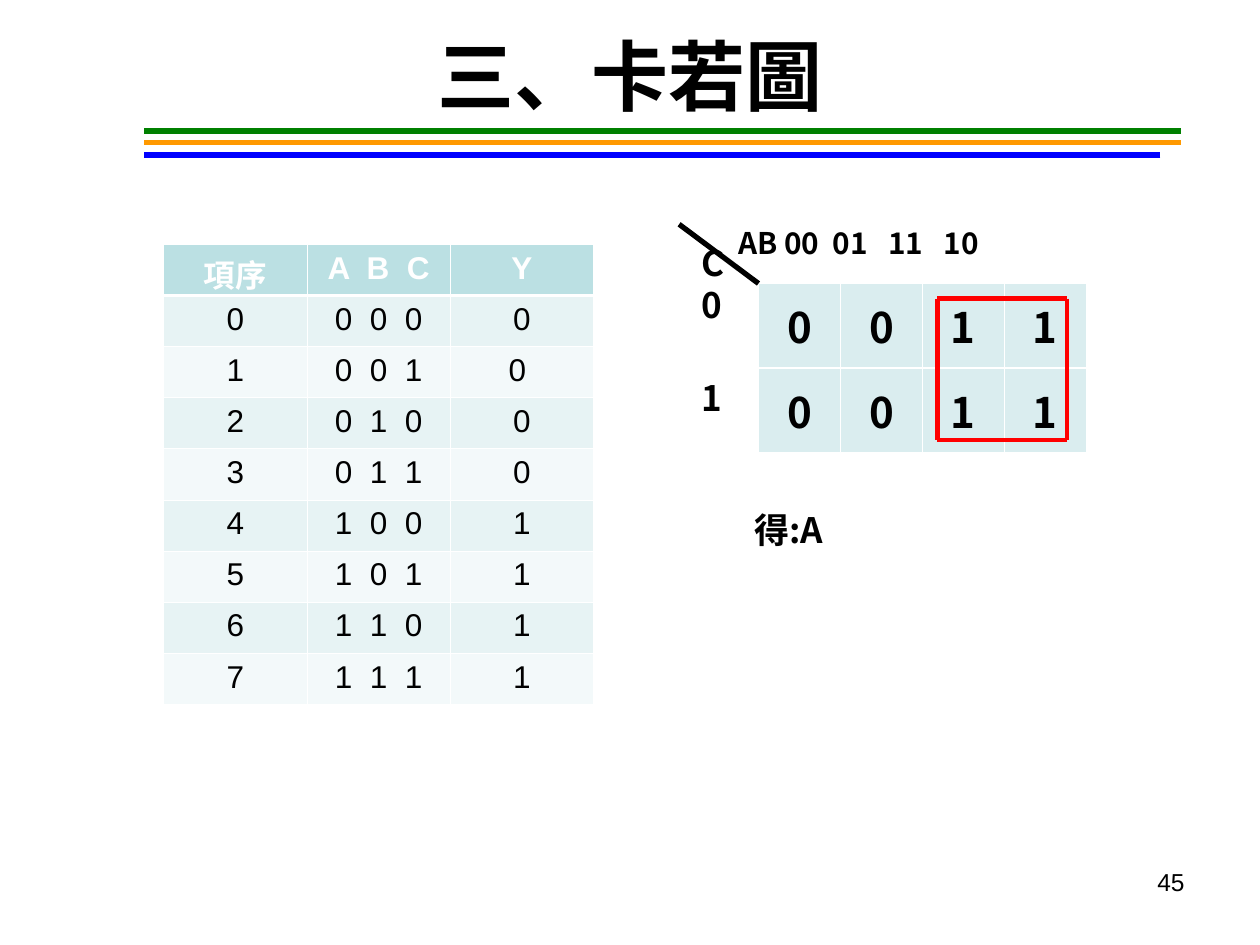
import pptx
import pptx.dml.color
import pptx.enum.shapes
import pptx.enum.text
import pptx.oxml
import pptx.oxml.ns
import pptx.util
from pptx.util import Inches

COLORS = {
    "black": "000000", "white": "FFFFFF", "red": "FF0000",
    "green": "008000", "orange": "FF9900", "blue": "0000FF",
    "header": "BBE0E3", "band": "E7F3F4", "pale": "F3F9FA", "map": "DAEDEF",
}
HAN = "Noto Sans CJK SC"
ALIGN = pptx.enum.text.PP_ALIGN
ANCHOR = pptx.enum.text.MSO_ANCHOR


def rgb(name):
    return pptx.dml.color.RGBColor.from_string(COLORS[name])


def style_paragraph(paragraph, size, face, color="black", bold=False, align=ALIGN.LEFT):
    paragraph.alignment = align
    font = paragraph.font
    font.size = pptx.util.Pt(size)
    font.bold = bold
    font.color.rgb = rgb(color)
    font.name = face
    properties = paragraph._p.pPr.find(pptx.oxml.ns.qn("a:defRPr"))
    east_asian = pptx.oxml.parse_xml(
        f'<a:ea {pptx.oxml.ns.nsdecls("a")} typeface="{HAN}"/>')
    properties.append(east_asian)


def add_text(page, place, lines, size, face=HAN, bold=True, align=ALIGN.LEFT,
             anchor=ANCHOR.TOP, spacing=None, gaps=()):
    box = page.shapes.add_textbox(*map(Inches, place))
    frame = box.text_frame
    frame.word_wrap = True
    frame.vertical_anchor = anchor
    frame.text = "\n".join(lines)
    for paragraph in frame.paragraphs:
        style_paragraph(paragraph, size, face, bold=bold, align=align)
        if spacing:
            paragraph.line_spacing = spacing
    for paragraph, gap in zip(frame.paragraphs[1:], gaps):
        paragraph.space_before = pptx.util.Pt(gap)


def add_line(page, start, end, color, width):
    line = page.shapes.add_connector(
        pptx.enum.shapes.MSO_CONNECTOR.STRAIGHT, *map(Inches, start + end))
    line.line.color.rgb = rgb(color)
    line.line.width = pptx.util.Pt(width)
    line._element.spPr.append(
        pptx.oxml.parse_xml(f'<a:effectLst {pptx.oxml.ns.nsdecls("a")}/>'))


def set_borders(cell, widths):
    properties = cell._tc.get_or_add_tcPr()
    for index, (side, width) in enumerate(widths.items()):
        border = pptx.oxml.parse_xml(
            f'<a:{side} {pptx.oxml.ns.nsdecls("a")} w="{pptx.util.Pt(width)}">'
            f'<a:solidFill><a:srgbClr val="{COLORS["white"]}"/></a:solidFill></a:{side}>')
        properties.insert(index, border)


def add_grid(page, place, rows, fills, size, face, anchor, header=False, bold=False):
    grid = page.shapes.add_table(len(rows), len(rows[0]), *map(Inches, place)).table
    for row in grid.rows:
        row.height = Inches(place[3] / len(rows))
    for row_index, values in enumerate(rows):
        is_header = header and row_index == 0
        borders = {
            "lnL": 0.45, "lnR": 0.45,
            "lnT": 1.47 if row_index == 1 else 0.45,
            "lnB": 1.47 if row_index == 0 else 0.45,
        }
        for column_index, value in enumerate(values):
            cell = grid.cell(row_index, column_index)
            cell.text = value
            cell.vertical_anchor = anchor
            cell.fill.solid()
            cell.fill.fore_color.rgb = rgb(fills[row_index])
            style_paragraph(cell.text_frame.paragraphs[0], size, face,
                            "white" if is_header else "black",
                            bold or is_header, ALIGN.CENTER)
            set_borders(cell, borders)


def add_group_outline(page, left, top, right, bottom):
    corners = [(left, top), (right, top), (right, bottom), (left, bottom)]
    for start, end in zip(corners, corners[1:] + corners[:1]):
        add_line(page, start, end, "red", 2.5)


def main():
    deck = pptx.Presentation()
    deck.slide_width, deck.slide_height = Inches(10), Inches(7.5)
    page = deck.slides.add_slide(deck.slide_layouts[6])

    for y, right, color in ((1.13, 9.37, "orange"), (1.04, 9.37, "green"),
                            (1.23, 9.21, "blue")):
        add_line(page, (right, y), (1.14, y), color, 3)
    add_text(page, (0.5, -0.03, 9, 1.25), ["三、卡若圖"], 44,
             align=ALIGN.CENTER, anchor=ANCHOR.MIDDLE)

    add_grid(page, (6.02, 2.25, 2.6, 1.34), ["0011"] * 2, ["map"] * 2,
             24, HAN, ANCHOR.MIDDLE, bold=True)
    add_text(page, (7.17, 6.83, 2.33, 0.52), ["45"], 14, "Arial",
             bold=False, align=ALIGN.RIGHT)

    outputs = ["0", "0 ", "0", "0", "1", "1", "1", "1"]
    truth_rows = [["項序", "A  B  C", "Y"]] + [
        [str(number), "  ".join(f"{number:03b}"), output]
        for number, output in enumerate(outputs)]
    add_grid(page, (1.3, 1.94, 3.41, 3.65), truth_rows,
             ["header"] + ["band", "pale"] * 4, 18, "Arial", ANCHOR.TOP, header=True)

    add_line(page, (5.39, 1.78), (6.02, 2.25), "black", 3)
    add_text(page, (5.76, 1.77, 3.02, 0.47), ["AB 00  01   11   10"], 17, spacing=0.9)
    add_text(page, (5.47, 1.93, 0.39, 1.73), ["C", "0", "1"], 20,
             spacing=0.8, gaps=(5, 34))
    add_text(page, (5.89, 3.99, 1.73, 0.47), ["得:A"], 20)
    add_group_outline(page, 7.44, 2.37, 8.47, 3.49)

    deck.save("out.pptx")


if __name__ == "__main__":
    main()
